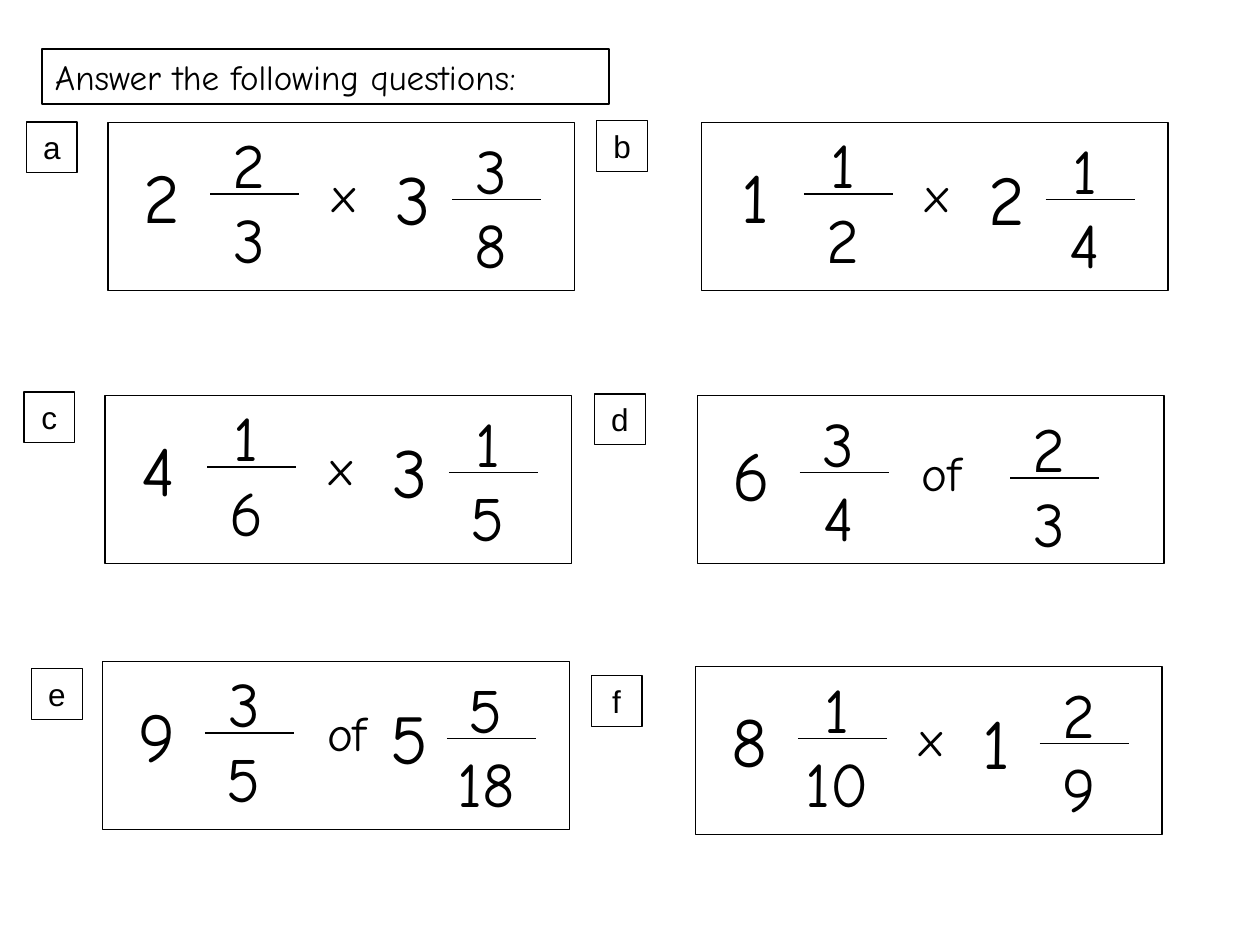
from pptx import Presentation
from pptx.dml.color import RGBColor
from pptx.enum.shapes import MSO_CONNECTOR, MSO_SHAPE
from pptx.enum.text import MSO_ANCHOR, MSO_AUTO_SIZE, PP_ALIGN
from pptx.oxml.ns import qn
from pptx.util import Pt

LEFT, MID = PP_ALIGN.LEFT, PP_ALIGN.CENTER
RECT, LINE = MSO_SHAPE.RECTANGLE, MSO_CONNECTOR.STRAIGHT
COLORS = {"ink": "000000", "paper": "FFFFFF"}
HAND, PLAIN = "Comic Neue", "Arial"

# Content: mixed numbers as (whole, top, bottom)
TITLE = "Answer the following questions:"
SUMS = [
    ("a", ("2", "2", "3"), "x", ("3", "3", "8")),
    ("b", ("1", "1", "2"), "x", ("2", "1", "4")),
    ("c", ("4", "1", "6"), "x", ("3", "1", "5")),
    ("d", ("6", "3", "4"), "of", ("", "2", "3")),
    ("e", ("9", "3", "5"), "of", ("5", "5", "18")),
    ("f", ("8", "1", "10"), "x", ("1", "2", "9")),
]

# Places of each label and panel, in points
TAGS = [(15.1, 69.8), (341, 69), (13.7, 224), (339.8, 225.2), (18, 382), (337.8, 386)]
PANELS = [(61.8, 70), (401, 70), (60, 226), (398.7, 226), (58.8, 378), (397.6, 381)]
PANEL = (266.5, 96)
TAG = (29, 29)
DROP = 42.5  # from the top of a fraction to its bar
BAR = 51

# Text formats
FORMATS = {
    "title": dict(size=Pt(20), name=HAND),
    "tag": dict(size=Pt(18), name=PLAIN),
    "whole": dict(size=Pt(40), name=HAND),
    "part": dict(size=Pt(36), name=HAND),
    "sign": dict(size=Pt(28), name=HAND),
}


def color(key):
    return RGBColor.from_string(COLORS[key])


def write(shape, text, kind, align):
    frame = shape.text_frame
    for key, val in dict(word_wrap=True, auto_size=MSO_AUTO_SIZE.NONE,
                         vertical_anchor=MSO_ANCHOR.TOP,
                         margin_left=Pt(7.2), margin_right=Pt(7.2),
                         margin_top=Pt(3.6), margin_bottom=Pt(3.6)).items():
        setattr(frame, key, val)
    frame.text = text
    para = frame.paragraphs[0]
    para.alignment = align
    for key, val in FORMATS[kind].items():
        setattr(para.font, key, val)
    para.font.color.rgb = color("ink")


def outline(shape, width):
    shape.fill.solid()
    shape.fill.fore_color.rgb = color("paper")
    shape.line.color.rgb = color("ink")
    shape.line.width = Pt(width)


def frame_box(shapes, spot, size):
    box = shapes.add_shape(RECT, *map(Pt, spot + size))
    box.shadow.inherit = False
    outline(box, 0.75)
    return box


def label(shapes, x, y, w, h, text, kind, align=MID):
    write(shapes.add_textbox(Pt(x), Pt(y), Pt(w), Pt(h)), text, kind, align)


def fraction(shapes, x, y, top, bottom):
    label(shapes, x, y, 67.7, 50.4, top, "part")
    label(shapes, x, y + DROP, 67.7, 50.4, bottom, "part")
    left, level = x + 11.5, y + DROP
    bar = shapes.add_connector(LINE, Pt(left), Pt(level), Pt(left + BAR), Pt(level))
    bar.line.color.rgb = color("ink")
    bar.line.width = Pt(0.75)
    props = bar._element.spPr
    props.append(props.makeelement(qn("a:effectLst"), {}))


def question(slide, spot, first, sign, second):
    shapes = slide.shapes.add_group_shape().shapes
    frame_box(shapes, spot, PANEL)
    x, y = spot
    # A lone fraction moves left, and its row sits a little lower
    shift = 0 if second[0] else 18
    y += 0 if second[0] else 3.2
    fraction(shapes, x + 46.8, y - 1.6, *first[1:])
    label(shapes, x + 121, y + 20, 51.8, 41, sign, "sign", LEFT)
    fraction(shapes, x + 185 - shift, y + 1.5, *second[1:])
    label(shapes, x + 5.9, y + 14.1, 49.7, 55.4, first[0], "whole")
    if second[0]:
        label(shapes, x + 157, y + 15.1, 41.8, 55.4, second[0], "whole", LEFT)


def main():
    deck = Presentation()
    deck.slide_width, deck.slide_height = Pt(720), Pt(540)
    slide = deck.slides.add_slide(deck.slide_layouts[5])

    # Title
    title = slide.shapes.title
    for key, val in dict(left=24.2, top=28, width=324, height=31.5).items():
        setattr(title, key, Pt(val))
    outline(title, 1)
    write(title, TITLE, "title", LEFT)

    # Questions with their letters
    for (tag, *terms), place, spot in zip(SUMS, TAGS, PANELS):
        write(frame_box(slide.shapes, place, TAG), tag, "tag", MID)
        question(slide, spot, *terms)

    deck.save("out.pptx")


if __name__ == "__main__":
    main()
